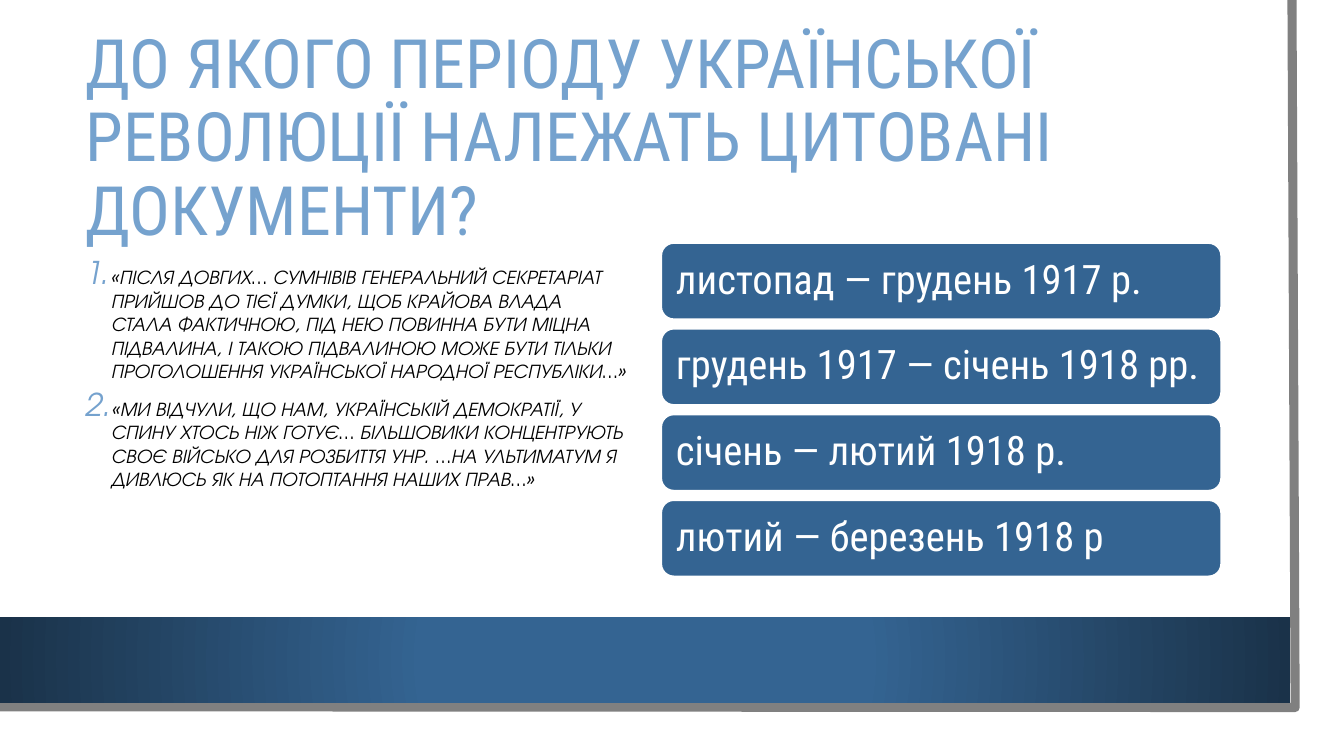
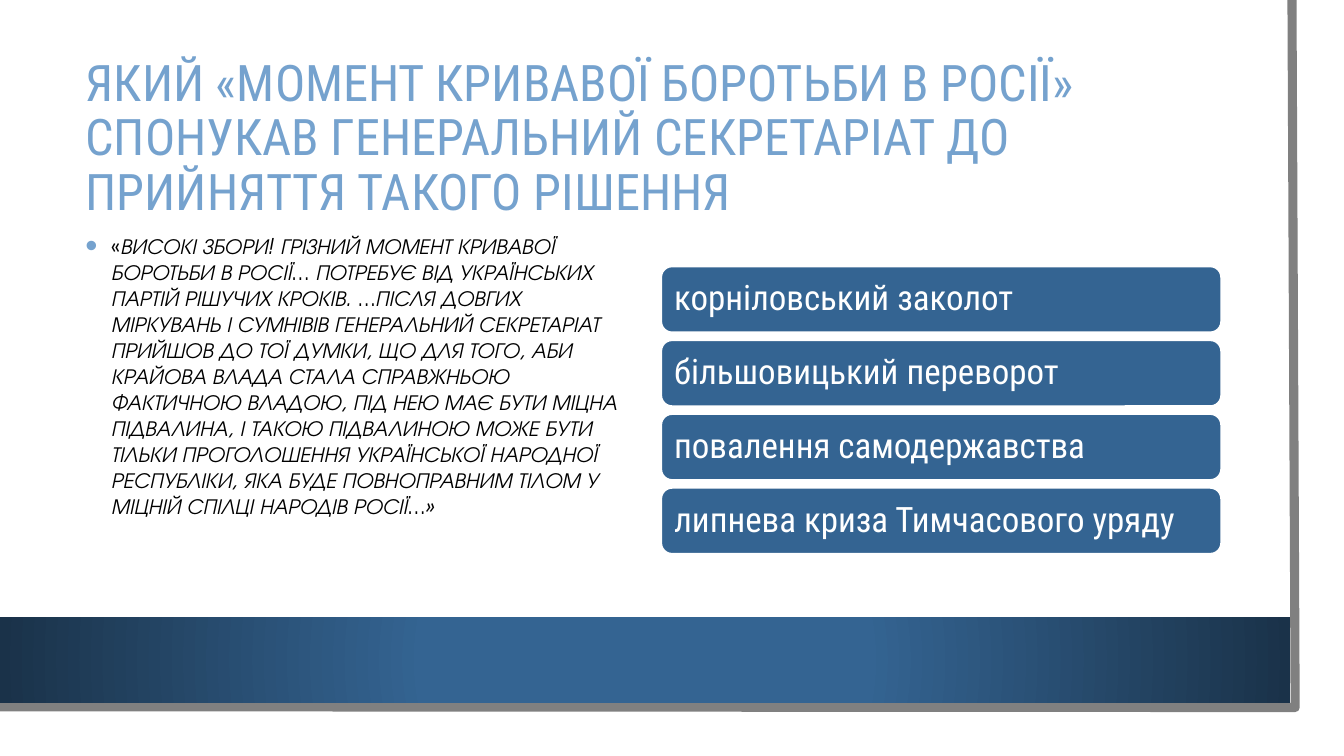
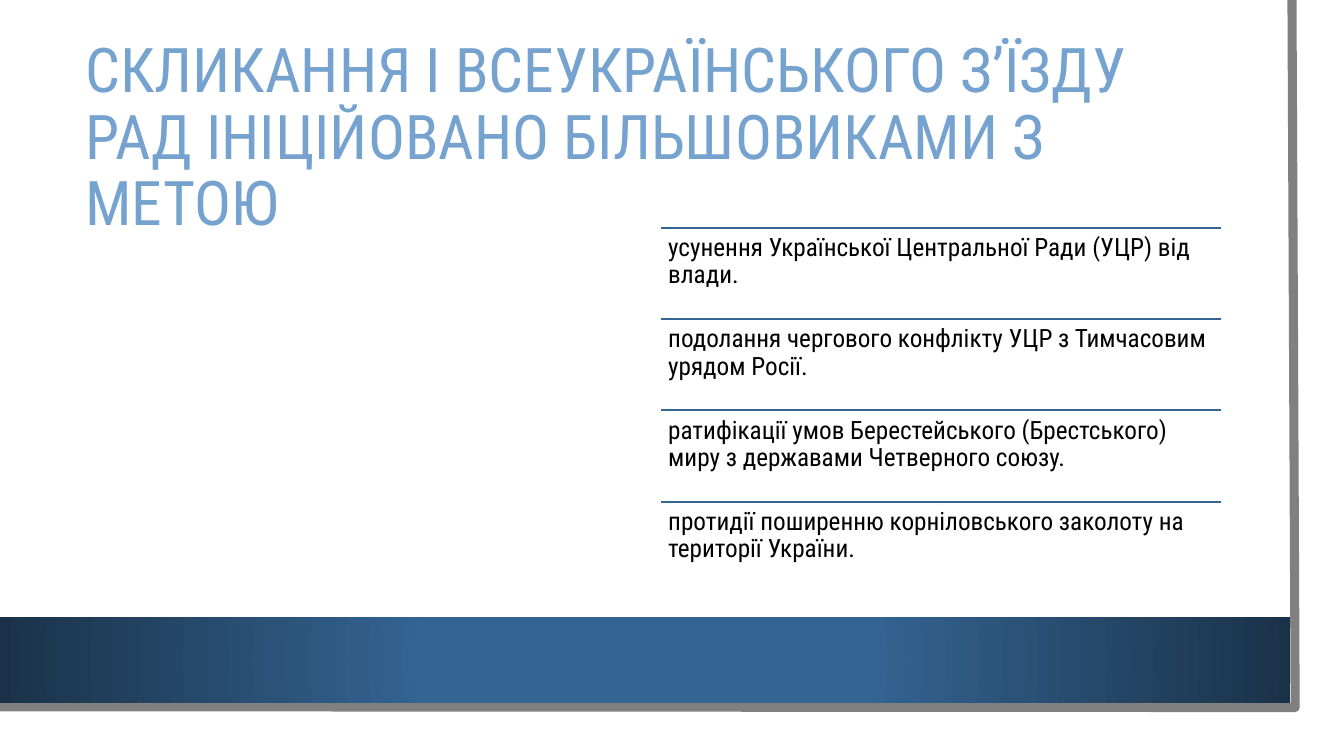
import pptx
import pptx.util
import pptx.dml.color
import pptx.enum.shapes
import pptx.enum.text
import pptx.oxml
import pptx.oxml.ns

Cm, Pt = pptx.util.Cm, pptx.util.Pt
SHAPE = pptx.enum.shapes.MSO_SHAPE
ANCHOR = pptx.enum.text.MSO_ANCHOR
NS = pptx.oxml.ns.nsdecls("a")


def rgb(value):
    return pptx.dml.color.RGBColor.from_string(value)


class Deck:
    """Holds the style and the current slide."""

    BLUE, NAVY, SKY = "346492", "1A3249", "75A2CE"
    WHITE, BLACK, GREY = "FFFFFF", "000000", "808080"
    HEAD_FONT, BODY_FONT = "Roboto Condensed", "TeX Gyre Adventor"
    LEFT, ANSWER_LEFT, ANSWER_WIDTH = 1.9, 16.66, 14.12

    def __init__(self):
        self.prs = pptx.Presentation()
        self.prs.slide_width, self.prs.slide_height = Cm(33.87), Cm(19.05)
        self.slide = None

    def new_slide(self, title, size, layout):
        first = self.slide is None
        self.slide = self.prs.slides.add_slide(self.prs.slide_layouts[layout])
        if first:
            self.backdrop()
        sp = self.slide.shapes.title
        self.place(sp, self.LEFT, 1.9, 28.88, 3.23)
        tf = sp.text_frame
        tf.text = title
        tf.vertical_anchor = ANCHOR.MIDDLE
        self.plain(tf)
        self.style(tf.paragraphs[0], self.HEAD_FONT, size, self.SKY, 0.9)

    def backdrop(self):
        """Draw the sheet, its edge and the band, then move them to the master."""
        shapes = self.slide.shapes
        sheet = self.box(SHAPE.RECTANGLE, 0, 0, 33.27, 18.47, self.WHITE)
        builder = shapes.build_freeform(Cm(32.56), Cm(0))
        builder.add_line_segments([(Cm(32.64), Cm(17.83)), (Cm(-0.08), Cm(17.81))], close=False)
        edge = builder.convert_to_shape()
        edge.shadow.inherit = False
        edge.fill.background()
        edge.line.color.rgb = rgb(self.GREY)
        edge.line.width = Pt(6.5)
        band = self.box(SHAPE.RECTANGLE, 0, 15.55, 32.51, 2.16, self.BLUE)
        gradient = pptx.oxml.parse_xml(
            f'<a:gradFill {NS} rotWithShape="1"><a:gsLst>'
            f'<a:gs pos="34000"><a:srgbClr val="{self.BLUE}"/></a:gs>'
            f'<a:gs pos="100000"><a:srgbClr val="{self.NAVY}"/></a:gs></a:gsLst>'
            '<a:path path="circle"><a:fillToRect l="50000" t="50000" r="50000" b="50000"/></a:path>'
            '</a:gradFill>')
        spPr = band.element.spPr
        spPr.replace(spPr.find(pptx.oxml.ns.qn("a:solidFill")), gradient)
        tree = self.prs.slide_master.shapes.element
        for i, sp in enumerate((sheet, edge, band)):
            sp.element.xpath(".//p:cNvPr")[0].set("id", str(100 + i))
            tree.insert(2 + i, sp.element)

    def place(self, sp, left, top, width, height):
        sp.left, sp.top, sp.width, sp.height = Cm(left), Cm(top), Cm(width), Cm(height)

    def plain(self, tf, inset=None):
        tf.word_wrap = True
        tf.auto_size = pptx.enum.text.MSO_AUTO_SIZE.NONE
        if inset is not None:
            tf.margin_left = tf.margin_top = tf.margin_right = tf.margin_bottom = Cm(inset)

    def style(self, p, font, size, color, spacing=1.0, italic=False):
        p.alignment = pptx.enum.text.PP_ALIGN.LEFT
        p.line_spacing = spacing
        for r in p.runs:
            r.font.name, r.font.size = font, Pt(size)
            r.font.color.rgb = rgb(color)
            r.font.italic = italic

    def box(self, kind, left, top, width, height, fill):
        sp = self.slide.shapes.add_shape(kind, Cm(left), Cm(top), Cm(width), Cm(height))
        sp.shadow.inherit = False
        sp.fill.solid()
        sp.fill.fore_color.rgb = rgb(fill)
        sp.line.fill.background()
        return sp

    def quotes(self, top, size, texts, bullet):
        """Fill the body placeholder with italic quotations."""
        sp = self.slide.placeholders[1]
        self.place(sp, self.LEFT, top, 14.15, 9.2)
        tf = sp.text_frame
        tf.text = "\n".join(texts)
        self.plain(tf)
        for i, p in enumerate(tf.paragraphs):
            pPr = p._p.get_or_add_pPr()
            pPr.set("marL", str(Cm(0.64)))
            pPr.set("indent", str(Cm(-0.64)))
            for tag in (f'<a:buClr {NS}><a:srgbClr val="{self.SKY}"/></a:buClr>',
                        f'<a:buSzPct {NS} val="160000"/>', bullet):
                pPr.append(pptx.oxml.parse_xml(tag))
            p.space_before = Pt(10 if i else 0)
            self.style(p, self.BODY_FONT, size, self.BLACK, italic=True)
        return tf

    def answer_boxes(self, top, height, gap, size, inset, answers):
        for i, answer in enumerate(answers):
            sp = self.box(SHAPE.ROUNDED_RECTANGLE, self.ANSWER_LEFT, top + i * (height + gap),
                          self.ANSWER_WIDTH, height, self.BLUE)
            sp.line.color.rgb = rgb(self.WHITE)
            sp.line.width = Pt(1.5)
            tf = sp.text_frame
            tf.text = answer
            tf.vertical_anchor = ANCHOR.MIDDLE
            self.plain(tf, inset)
            self.style(tf.paragraphs[0], self.HEAD_FONT, size, self.WHITE, 0.9)

    def ruled_answers(self, top, height, size, answers):
        for i, answer in enumerate(answers):
            x, y = Cm(self.ANSWER_LEFT), Cm(top + i * height)
            width = Cm(self.ANSWER_WIDTH)
            rule = self.slide.shapes.add_connector(
                pptx.enum.shapes.MSO_CONNECTOR.STRAIGHT, x, y, x + width, y)
            rule.line.color.rgb = rgb(self.BLUE)
            rule.line.width = Pt(1.5)
            rule.element.spPr.append(pptx.oxml.parse_xml(f"<a:effectLst {NS}/>"))
            tf = self.slide.shapes.add_textbox(x, y, width, Cm(height)).text_frame
            tf.text = answer
            self.plain(tf, 0.18)
            self.style(tf.paragraphs[0], self.HEAD_FONT, size, self.BLACK, 0.9)


def main():
    deck = Deck()
    numbered = f'<a:buAutoNum {NS} type="arabicPeriod"/>'
    dotted = f'<a:buChar {NS} char="•"/>'

    # Periods of the revolution
    deck.new_slide("ДО ЯКОГО ПЕРІОДУ УКРАЇНСЬКОЇ РЕВОЛЮЦІЇ НАЛЕЖАТЬ ЦИТОВАНІ ДОКУМЕНТИ?", 48.6, 1)
    deck.quotes(6.55, 14, [
        "«ПІСЛЯ ДОВГИХ… СУМНІВІВ ГЕНЕРАЛЬНИЙ СЕКРЕТАРІАТ ПРИЙШОВ ДО ТІЄЇ ДУМКИ, "
        "ЩОБ КРАЙОВА ВЛАДА СТАЛА ФАКТИЧНОЮ, ПІД НЕЮ ПОВИННА БУТИ МІЦНА ПІДВАЛИНА, "
        "І ТАКОЮ ПІДВАЛИНОЮ МОЖЕ БУТИ ТІЛЬКИ ПРОГОЛОШЕННЯ УКРАЇНСЬКОЇ НАРОДНОЇ РЕСПУБЛІКИ…»",
        "«МИ ВІДЧУЛИ, ЩО НАМ, УКРАЇНСЬКІЙ ДЕМОКРАТІЇ, У СПИНУ ХТОСЬ НІЖ ГОТУЄ… "
        "БІЛЬШОВИКИ КОНЦЕНТРУЮТЬ СВОЄ ВІЙСЬКО ДЛЯ РОЗБИТТЯ УНР. "
        "…НА УЛЬТИМАТУМ Я ДИВЛЮСЬ ЯК НА ПОТОПТАННЯ НАШИХ ПРАВ…»",
    ], numbered)
    deck.answer_boxes(6.12, 1.93, 0.23, 29, 0.28, [
        "листопад — грудень 1917 р.", "грудень 1917 — січень 1918 рр.",
        "січень — лютий 1918 р.", "лютий — березень 1918 р"])

    # The moment of struggle
    deck.new_slide("ЯКИЙ «МОМЕНТ КРИВАВОЇ БОРОТЬБИ В РОСІЇ» СПОНУКАВ ГЕНЕРАЛЬНИЙ "
                   "СЕКРЕТАРІАТ ДО ПРИЙНЯТТЯ ТАКОГО РІШЕННЯ", 36, 1)
    tf = deck.quotes(5.74, 15.5, [
        "ВИСОКІ ЗБОРИ! ГРІЗНИЙ МОМЕНТ КРИВАВОЇ БОРОТЬБИ В РОСІЇ… ПОТРЕБУЄ ВІД "
        "УКРАЇНСЬКИХ ПАРТІЙ РІШУЧИХ КРОКІВ. …ПІСЛЯ ДОВГИХ МІРКУВАНЬ І СУМНІВІВ "
        "ГЕНЕРАЛЬНИЙ СЕКРЕТАРІАТ ПРИЙШОВ ДО ТОЇ ДУМКИ, ЩО ДЛЯ ТОГО, АБИ КРАЙОВА ВЛАДА "
        "СТАЛА СПРАВЖНЬОЮ ФАКТИЧНОЮ ВЛАДОЮ, ПІД НЕЮ МАЄ БУТИ МІЦНА ПІДВАЛИНА, "
        "І ТАКОЮ ПІДВАЛИНОЮ МОЖЕ БУТИ ТІЛЬКИ ПРОГОЛОШЕННЯ УКРАЇНСЬКОЇ НАРОДНОЇ "
        "РЕСПУБЛІКИ, ЯКА БУДЕ ПОВНОПРАВНИМ ТІЛОМ У МІЦНІЙ СПІЛЦІ НАРОДІВ РОСІЇ…»",
    ], dotted)
    # The opening mark is upright
    p = tf.paragraphs[0]
    quote = p.runs[0]
    mark = p.add_run()
    mark.text = "«"
    quote._r.addprevious(mark._r)
    deck.style(p, deck.BODY_FONT, 15.5, deck.BLACK, italic=True)
    mark.font.italic = False
    deck.answer_boxes(6.71, 1.67, 0.19, 25, 0.25, [
        "корніловський заколот", "більшовицький переворот",
        "повалення самодержавства", "липнева криза Тимчасового уряду"])

    # The congress of councils
    deck.new_slide("СКЛИКАННЯ І ВСЕУКРАЇНСЬКОГО З’ЇЗДУ РАД ІНІЦІЙОВАНО БІЛЬШОВИКАМИ З МЕТОЮ", 44, 5)
    deck.ruled_answers(5.74, 2.3, 18, [
        "усунення Української Центральної Ради (УЦР) від влади.",
        "подолання чергового конфлікту УЦР з Тимчасовим урядом Росії.",
        "ратифікації умов Берестейського (Брестського) миру з державами Четверного союзу.",
        "протидії поширенню корніловського заколоту на території України."])

    deck.prs.save("out.pptx")


if __name__ == "__main__":
    main()
